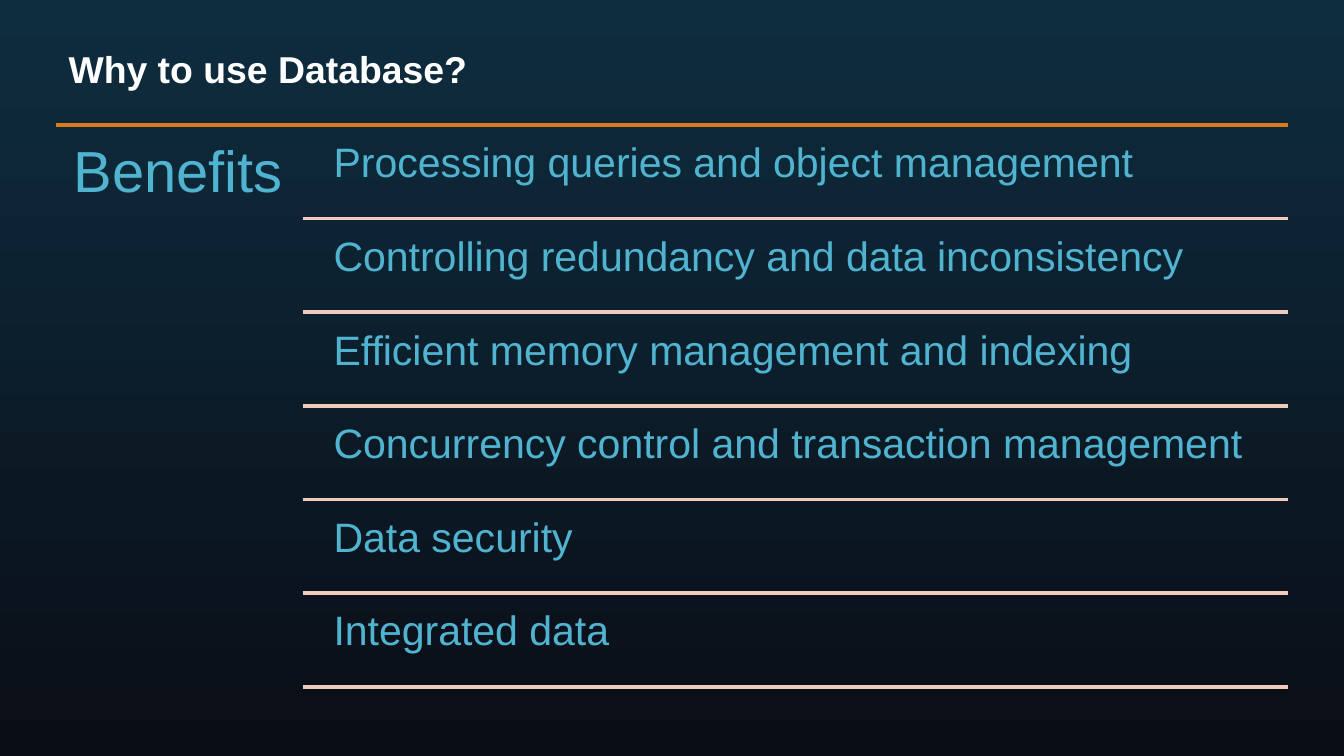
import pptx
import pptx.dml.color
import pptx.enum.shapes
import pptx.enum.text
import pptx.oxml.ns
import pptx.util
from lxml import etree

RGB = pptx.dml.color.RGBColor
Inches = pptx.util.Inches
Pt = pptx.util.Pt

TOP_COLOR = RGB(0x0E, 0x2D, 0x3F)
BOTTOM_COLOR = RGB(0x0A, 0x0D, 0x16)
WHITE = RGB(0xFF, 0xFF, 0xFF)
CYAN = RGB(0x50, 0xB3, 0xCF)
ORANGE = RGB(0xDF, 0x7A, 0x1C)
PEACH = RGB(0xF0, 0xCB, 0xBD)

WIDTH = 10
HEIGHT = WIDTH * 9 / 16
LEFT, RIGHT = 0.42, 9.58
LIST_LEFT = LEFT + 0.2 * (RIGHT - LEFT)
LIST_TOP, LIST_BOTTOM = 0.93, 5.11

BENEFITS = [
    "Processing queries and object management",
    "Controlling redundancy and data inconsistency",
    "Efficient memory management and indexing",
    "Concurrency control and transaction management",
    "Data security",
    "Integrated data",
]


def set_background(s):
    fill = s.background.fill
    fill.gradient()
    fill.gradient_angle = 270
    for stop, color in zip(fill.gradient_stops, (TOP_COLOR, BOTTOM_COLOR)):
        stop.color.rgb = color


def write_text(sp, text, size, color, bold=False, inset_x=0.1, inset_y=0.1,
               spacing=1.0):
    tf = sp.text_frame
    tf.word_wrap = True
    tf.auto_size = pptx.enum.text.MSO_AUTO_SIZE.NONE
    tf.vertical_anchor = pptx.enum.text.MSO_ANCHOR.TOP
    tf.margin_left = tf.margin_right = Inches(inset_x)
    tf.margin_top = tf.margin_bottom = Inches(inset_y)
    p = tf.paragraphs[0]
    p.alignment = pptx.enum.text.PP_ALIGN.LEFT
    p.line_spacing = spacing
    r = p.add_run()
    r.text = text
    r.font.name = "Arial"
    r.font.size = Pt(size)
    r.font.bold = bold
    r.font.color.rgb = color


def add_title(s, text):
    sp = s.shapes.title
    sp.left, sp.top = Inches(0.41), Inches(0.27)
    sp.width, sp.height = Inches(9.18), Inches(0.5)
    write_text(sp, text, 20, WHITE, bold=True, inset_y=0.07)


def add_text(group, text, x, y, w, h, size, inset):
    sp = group.shapes.add_textbox(Inches(x), Inches(y), Inches(w), Inches(h))
    write_text(sp, text, size, CYAN, inset_x=inset, inset_y=inset,
               spacing=0.9)


def add_rule(group, x, y, color):
    """Draw a horizontal line from x to the right margin."""
    line = group.shapes.add_connector(
        pptx.enum.shapes.MSO_CONNECTOR.STRAIGHT,
        Inches(x), Inches(y), Inches(RIGHT), Inches(y))
    line.line.color.rgb = color
    line.line.width = Pt(2)
    etree.SubElement(line._element.spPr, pptx.oxml.ns.qn("a:effectLst"))


def add_benefits(s):
    group = s.shapes.add_group_shape()
    add_rule(group, LEFT, LIST_TOP, ORANGE)
    add_text(group, "Benefits", LEFT, LIST_TOP, LIST_LEFT - LEFT,
             LIST_BOTTOM - LIST_TOP, size=31, inset=0.13)
    row = (LIST_BOTTOM - LIST_TOP) / len(BENEFITS)
    for i, benefit in enumerate(BENEFITS):
        y = LIST_TOP + i * row
        add_text(group, benefit, LIST_LEFT + 0.14, y + 0.04, 7.2, 0.66,
                 size=22, inset=0.09)
        add_rule(group, LIST_LEFT, y + row, PEACH)


def main():
    prs = pptx.Presentation()
    prs.slide_width, prs.slide_height = Inches(WIDTH), Inches(HEIGHT)
    s = prs.slides.add_slide(prs.slide_layouts[5])
    set_background(s)
    add_title(s, "Why to use Database?")
    add_benefits(s)
    prs.save("out.pptx")


if __name__ == "__main__":
    main()
